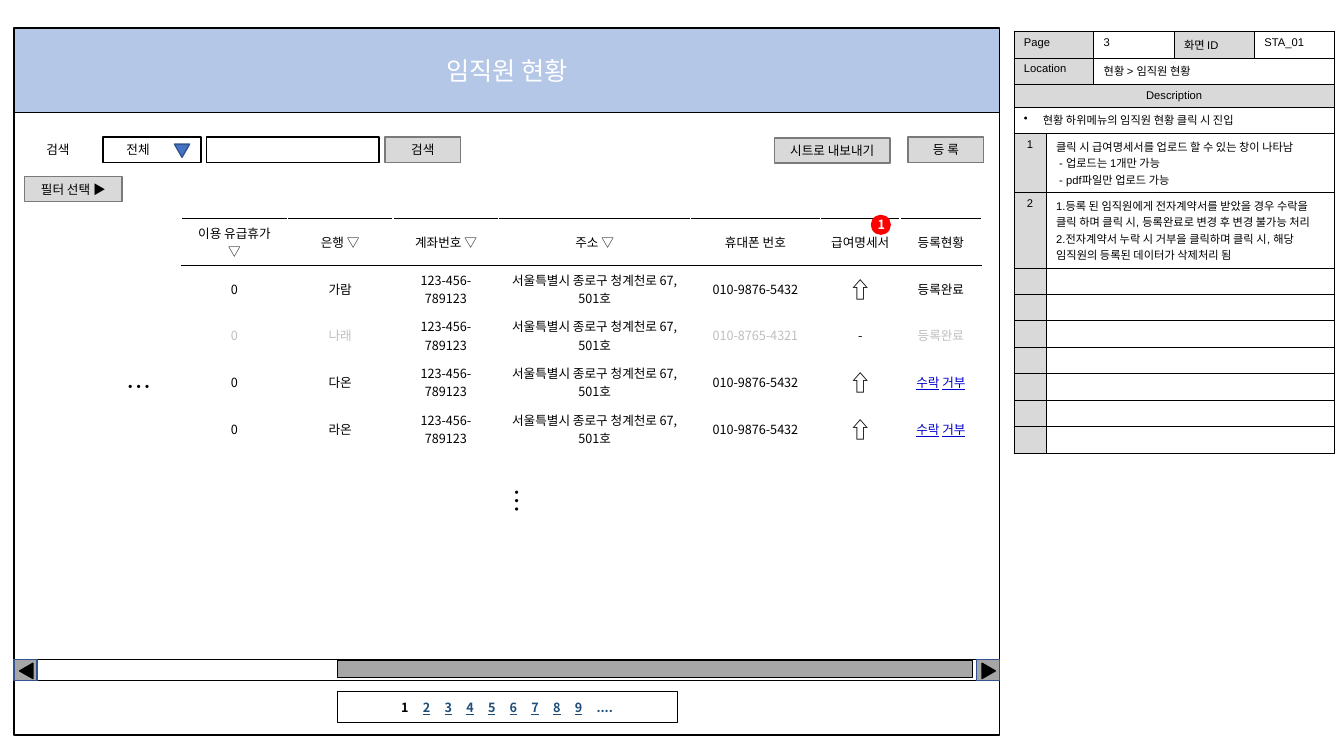
from dataclasses import dataclass
from typing import Optional

from lxml import etree
from pptx import Presentation
from pptx.dml.color import RGBColor
from pptx.enum.shapes import MSO_SHAPE
from pptx.enum.text import MSO_ANCHOR, MSO_AUTO_SIZE, PP_ALIGN
from pptx.oxml.ns import qn
from pptx.util import Pt

RECT, TRIANGLE, OVAL = MSO_SHAPE.RECTANGLE, MSO_SHAPE.ISOSCELES_TRIANGLE, MSO_SHAPE.OVAL
LEFT, CENTER = PP_ALIGN.LEFT, PP_ALIGN.CENTER
TOP, MIDDLE = MSO_ANCHOR.TOP, MSO_ANCHOR.MIDDLE
FIT_TEXT = MSO_AUTO_SIZE.SHAPE_TO_FIT_TEXT
KOREAN, LATIN = "Noto Sans CJK KR", "Arial"
COLORS = {
    "white": "FFFFFF", "black": "000000", "title": "B4C7E7", "button": "D9D9D9",
    "button_edge": "7A7A7A", "arrow": "4472C4", "scroll": "A6A6A6", "scroll_edge": "325491",
    "muted": "BFBFBF", "link": "0000CC", "page_link": "1F4E79", "badge": "FF0000",
}


@dataclass
class Box:
    left: float
    top: float
    width: float
    height: float
    text: str = ""
    fill: Optional[str] = "white"
    line: Optional[str] = "black"
    kind: int = RECT
    rotation: float = 0
    size: float = 9
    color: str = "black"
    bold: bool = False


@dataclass
class Label:
    left: float
    top: float
    width: float
    height: float
    text: str
    size: float = 9
    rotation: float = 0
    wrap: bool = False
    inset: float = 7.2


def rgb(name: str) -> RGBColor:
    return RGBColor.from_string(COLORS[name])


def add_text(paragraph, text: str, *, size: float = 9, font: str = KOREAN, color: str = "black",
             bold: bool = False, underline: bool = False, align=LEFT) -> None:
    paragraph.alignment = align
    if not text:
        etree.SubElement(paragraph._p, qn("a:endParaRPr"), sz=str(int(size * 100)))
        return
    run = paragraph.add_run()
    run.text = text
    run.font.size, run.font.name = Pt(size), font
    run.font.bold, run.font.underline = bold, underline
    run.font.color.rgb = rgb(color)
    etree.SubElement(run._r.get_or_add_rPr(), qn("a:ea"), typeface=KOREAN)


def indent(paragraph, margin: float, first: float = 0) -> None:
    properties = paragraph._p.get_or_add_pPr()
    properties.set("marL", str(Pt(margin)))
    properties.set("indent", str(Pt(first)))


def draw_box(slide, box: Box):
    shape = slide.shapes.add_shape(box.kind, Pt(box.left), Pt(box.top), Pt(box.width), Pt(box.height))
    shape.shadow.inherit = False
    shape.rotation = box.rotation
    if box.fill:
        shape.fill.solid()
        shape.fill.fore_color.rgb = rgb(box.fill)
    else:
        shape.fill.background()
    if box.line:
        shape.line.color.rgb = rgb(box.line)
        shape.line.width = Pt(1)
    else:
        shape.line.fill.background()
    shape.text_frame.vertical_anchor = MIDDLE
    if box.text:
        add_text(shape.text_frame.paragraphs[0], box.text, size=box.size, color=box.color,
                 bold=box.bold, align=CENTER)
    return shape


def draw_label(slide, label: Label) -> None:
    shape = slide.shapes.add_textbox(Pt(label.left), Pt(label.top), Pt(label.width), Pt(label.height))
    shape.rotation = label.rotation
    frame = shape.text_frame
    frame.word_wrap, frame.auto_size = label.wrap, FIT_TEXT
    frame.margin_left = Pt(label.inset)
    add_text(frame.paragraphs[0], label.text, size=label.size)


def style_cell(cell, fill: str, edges: dict[str, str], width: float, anchor) -> None:
    properties = cell._tc.get_or_add_tcPr()
    for side in "LRTB":
        edge = etree.SubElement(properties, qn(f"a:ln{side}"), w=str(Pt(width)))
        solid = etree.SubElement(edge, qn("a:solidFill"))
        etree.SubElement(solid, qn("a:srgbClr"), val=COLORS[edges[side]])
    cell.fill.solid()
    cell.fill.fore_color.rgb = rgb(fill)
    cell.vertical_anchor = anchor


def new_table(slide, left: float, top: float, widths: list[float], heights: list[float]):
    table = slide.shapes.add_table(len(heights), len(widths), Pt(left), Pt(top),
                                   Pt(sum(widths)), Pt(sum(heights))).table
    table.first_row = table.horz_banding = False
    for column, width in zip(table.columns, widths):
        column.width = Pt(width)
    for row, height in zip(table.rows, heights):
        row.height = Pt(height)
    return table


def draw_staff(slide) -> None:
    account, address, phone = "123-456-789123", "서울특별시 종로구 청계천로 67, 501호", "010-9876-5432"
    rows = [
        ["이용 유급휴가 ▽", "은행 ▽", "계좌번호 ▽", "주소 ▽", "휴대폰 번호", "급여명세서", "등록현황"],
        ["0", "가람", account, address, phone, "⇧", "등록완료"],
        ["0", "나래", account, address, "010-8765-4321", "-", "등록완료"],
        ["0", "다온", account, address, phone, "⇧", "수락 거부"],
        ["0", "라온", account, address, phone, "⇧", "수락 거부"],
    ] + [[""] * 7] * 5
    muted_row, muted_columns = 2, (0, 1, 4, 6)
    table = new_table(slide, 129.6, 156.2, [75.6] * 3 + [136.8, 92.9, 56.9, 58.3], [29.2] * len(rows))
    for r, row in enumerate(rows):
        edges = {"L": "white", "R": "white", "T": "black" if r < 2 else "white",
                 "B": "black" if r == 0 else "white"}
        for c, text in enumerate(row):
            cell = table.cell(r, c)
            style_cell(cell, "white", edges, 1, MIDDLE)
            paragraph = cell.text_frame.paragraphs[0]
            if text == "수락 거부":
                for part in ("수락", " ", "거부"):
                    add_text(paragraph, part, color="link", underline=part != " ", align=CENTER)
            else:
                muted = r == muted_row and c in muted_columns
                add_text(paragraph, text, size=16 if text == "⇧" else 9,
                         color="muted" if muted else "black", align=CENTER)


def draw_description(slide) -> None:
    upload = "클릭 시 급여명세서를 업로드 할 수 있는 창이 나타남\n- 업로드는 1개만 가능\n- pdf파일만 업로드 가능"
    approval = ("1.등록 된 임직원에게 전자계약서를 받았을 경우 수락을 클릭 하며 클릭 시, 등록완료로 변경 후 변경 불가능 처리\n"
                "2.전자계약서 누락 시 거부을 클릭하며 클릭 시, 해당 임직원의 등록된 데이터가 삭제처리 됨")
    # Each row lists (text, columns spanned, fill)
    rows = [
        [("Page", 2, "button"), ("3", 1, "white"), ("화면 ID", 1, "button"), ("STA_01", 1, "white")],
        [("Location", 2, "button"), ("현황 > 임직원 현황", 3, "white")],
        [("Description", 5, "button")],
        [("현황 하위메뉴의 임직원 현황 클릭 시 진입", 5, "white")],
        [("1", 1, "button"), (upload, 4, "white")],
        [("2", 1, "button"), (approval, 4, "white")],
    ] + [[("", 1, "button"), ("", 4, "white")]] * 7
    heights = [18.9, 18.9, 16, 18.9, 42, 53.6] + [18.9] * 7
    table = new_table(slide, 724.2, 22.3, [23, 34, 57.4, 57.4, 57.4], heights)
    for r, row in enumerate(rows):
        c = 0
        for text, span, fill in row:
            for covered in range(c, c + span):
                style_cell(table.cell(r, covered), fill, dict.fromkeys("LRTB", "black"), 0.25, TOP)
            cell = table.cell(r, c)
            if span > 1:
                cell.merge(table.cell(r, c + span - 1))
            for i, line in enumerate(text.split("\n")):
                paragraph = cell.text_frame.add_paragraph() if i else cell.text_frame.paragraphs[0]
                if line.startswith("- "):
                    indent(paragraph, 2.2)
                elif r == 3:
                    indent(paragraph, 13.5, -13.5)
                    etree.SubElement(paragraph._p.get_or_add_pPr(), qn("a:buChar"), char="•")
                centered = text == "Description" or (span == 1 and r > 3)
                add_text(paragraph, line, size=8, font=LATIN, align=CENTER if centered else LEFT)
            c += span


def draw_pager(slide) -> None:
    frame = draw_box(slide, Box(241.2, 494, 242.6, 22.3, fill=None)).text_frame
    frame.margin_left = Pt(45.4)
    paragraph = frame.paragraphs[0]
    pages = [str(n) for n in range(1, 10)] + ["...."]
    tabs = etree.SubElement(paragraph._p.get_or_add_pPr(), qn("a:tabLst"))
    for n in range(1, len(pages)):
        etree.SubElement(tabs, qn("a:tab"), pos=str(Pt(15.5 * n)), algn="l")
    for n, page in enumerate(pages):
        color = "page_link" if n else "black"
        if n:
            add_text(paragraph, "\t", color=color, bold=True)
        add_text(paragraph, page, color=color, bold=True, underline=0 < n < 9)


def button(left: float, top: float, width: float, text: str) -> Box:
    return Box(left, top, width, 18, text, fill="button", line="button_edge")


def main() -> None:
    deck = Presentation()
    deck.slide_width, deck.slide_height = Pt(960), Pt(540)
    slide = deck.slides.add_slide(deck.slide_layouts[6])

    # Page frame and tables
    draw_box(slide, Box(10, 80, 704, 445))
    draw_staff(slide)
    draw_description(slide)

    # Search bar
    draw_label(slide, Label(26, 98, 32.4, 18, "검색"))
    draw_box(slide, Box(73.5, 98, 70, 18))
    draw_box(slide, Box(124.6, 103, 10.8, 9.4, fill="arrow", line="scroll_edge", kind=TRIANGLE, rotation=180))
    draw_label(slide, Label(73.5, 98, 70, 18, "전체", wrap=True, inset=16.8))
    draw_box(slide, Box(147.6, 98, 123.2, 18))
    for control in (button(275, 98, 54, "검색"), button(553, 98.6, 82.8, "시트로 내보내기"),
                    button(648.7, 98, 54, "등 록"), button(17.3, 126, 70, "필터 선택 ▶")):
        draw_box(slide, control)

    # Continuation marks
    draw_label(slide, Label(83.5, 262, 28, 28.8, "…", size=18))
    draw_label(slide, Label(355.7, 341.3, 28, 28.8, "…", size=18, rotation=90))

    # Scroll bar
    draw_box(slide, Box(10, 471, 704, 15))
    for left, rotation in ((10, 270), (697.4, 90)):
        draw_box(slide, Box(left, 471, 16.6, 15, fill="scroll", line="scroll_edge"))
        draw_box(slide, Box(left + 3.4, 474.5, 10.8, 9.4, fill="black", kind=TRIANGLE, rotation=rotation))
    draw_box(slide, Box(241.2, 471.6, 453.6, 12.2, fill="scroll"))
    draw_pager(slide)

    # Callout badge and title
    badge = draw_box(slide, Box(622, 153.4, 14.4, 14.4, "1", fill="badge", line=None, kind=OVAL,
                                color="white", bold=True)).text_frame
    badge.margin_left = badge.margin_right = badge.margin_top = badge.margin_bottom = Pt(2.9)
    draw_box(slide, Box(10, 20, 704, 60.5, "임직원 현황", fill="title", size=18, color="white"))

    deck.save("out.pptx")


if __name__ == "__main__":
    main()
